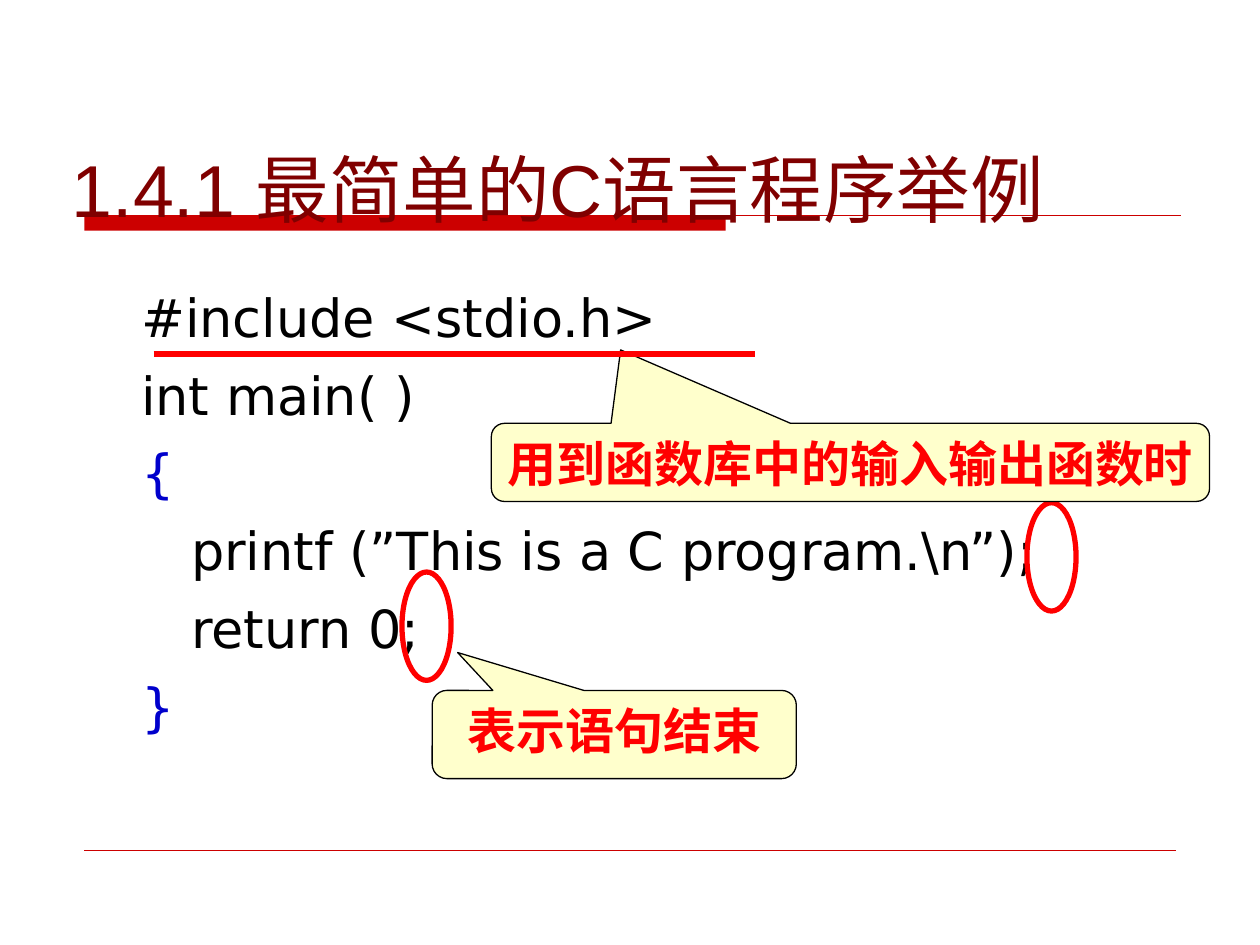
from lxml import etree
from pptx import Presentation
from pptx.dml.color import RGBColor
from pptx.enum.shapes import MSO_CONNECTOR, MSO_SHAPE
from pptx.enum.text import MSO_ANCHOR, MSO_AUTO_SIZE, PP_ALIGN
from pptx.oxml.ns import qn
from pptx.util import Inches, Pt

BAR = MSO_SHAPE.RECTANGLE
RING = MSO_SHAPE.FLOWCHART_CONNECTOR
CALL = MSO_SHAPE.ROUNDED_RECTANGULAR_CALLOUT
LINE = MSO_CONNECTOR.STRAIGHT
TOP, BOTTOM = MSO_ANCHOR.TOP, MSO_ANCHOR.BOTTOM
LEFT, CENTER = PP_ALIGN.LEFT, PP_ALIGN.CENTER
FIXED = MSO_AUTO_SIZE.NONE

COLS, ROWS = 100, 75
WIDE, HIGH = Inches(10), Inches(7.5)
RED, DARK, BLUE = "FF0000", "CC0000", "0000CC"
CODE = [
    ("#include <stdio.h>", "000000"),
    ("int main( )", "000000"),
    ("{", BLUE),
    ("   printf (”This is a C program.\\n”);", "000000"),
    ("   return 0;", "000000"),
    ("}", BLUE),
]


def color(code):
    return RGBColor.from_string(code)


def grid(box):
    sides = (WIDE / COLS, HIGH / ROWS) * 2
    return [round(part * side) for part, side in zip(box, sides)]


def put(shape, box):
    shape.left, shape.top, shape.width, shape.height = grid(box)


def write(para, text, font, size, code, bold=False):
    run = para.add_run()
    run.text = text
    run.font.name = font
    run.font.size = Pt(size)
    run.font.bold = bold
    run.font.color.rgb = color(code)


def stroke(slide, left, top, width, code, weight):
    x, y, w, _ = grid((left, top, width, 0))
    line = slide.shapes.add_connector(LINE, x, y, x + w, y)
    line.line.color.rgb = color(code)
    line.line.width = Pt(weight)
    etree.SubElement(line.element.spPr, qn("a:effectLst"))
    return line


def draw(slide, kind, box, fill, edge, weight):
    shape = slide.shapes.add_shape(kind, *grid(box))
    shape.shadow.inherit = False
    if fill:
        shape.fill.solid()
        shape.fill.fore_color.rgb = color(fill)
    else:
        shape.fill.background()
    if edge:
        shape.line.color.rgb = color(edge)
        shape.line.width = Pt(weight)
    else:
        shape.line.fill.background()
    return shape


def frame(slide, box):
    left, top, width, height = box
    bar = draw(slide, BAR, (left, top, width * 0.585, 1.2), DARK, None, 0)
    rule = stroke(slide, left, top, width, DARK, 0.75)
    foot = stroke(slide, left, top + height, width - 0.4, DARK, 0.25)
    for part in (bar, rule, foot):
        slide.shapes.title.element.addprevious(part.element)


def head(slide, box, text):
    title = slide.shapes.title
    put(title, box)
    text_box = title.text_frame
    text_box.auto_size = FIXED
    text_box.vertical_anchor = BOTTOM
    para = text_box.paragraphs[0]
    para.alignment = LEFT
    write(para, text, "Arial", 42, "800000")


def listing(slide, box, lines):
    body = slide.placeholders[1]
    put(body, box)
    text_box = body.text_frame
    text_box.auto_size = FIXED
    for row, (text, code) in enumerate(lines):
        para = text_box.add_paragraph() if row else text_box.paragraphs[0]
        props = para._p.get_or_add_pPr()
        props.set("marL", str(Inches(0.51)))
        props.set("indent", str(-Inches(0.51)))
        etree.SubElement(props, qn("a:buNone"))
        para.space_before = Pt(8.5 if row else 0)
        write(para, text, "DejaVu Sans", 30, code)


def callout(slide, box, tip, text):
    note = draw(slide, CALL, box, "FFFFCC", "000000", 0.75)
    for spot, value in enumerate((*tip, 0.167)):
        note.adjustments[spot] = value
    text_box = note.text_frame
    text_box.word_wrap = False
    text_box.vertical_anchor = TOP
    para = text_box.paragraphs[0]
    para.alignment = CENTER
    write(para, text, "Arial", 28, RED, True)


def main():
    deck = Presentation()
    deck.slide_width, deck.slide_height = WIDE, HIGH
    slide = deck.slides.add_slide(deck.slide_layouts[1])
    frame(slide, (6.7, 17.1, 87, 50.4))
    head(slide, (4.7, 10.9, 92.2, 8), "1.4.1 最简单的C语言程序举例")
    listing(slide, (10.2, 22.1, 89.8, 44.5), CODE)
    callout(slide, (34.3, 54.8, 28.9, 7), (-0.43, -0.93), "表示语句结束")
    for left, top in ((81.5, 39.9), (31.9, 45.4)):
        draw(slide, RING, (left, top, 3.9, 8.6), None, RED, 3)
    callout(slide, (39, 33.6, 57, 6.2), (-0.32, -1.44),
            "用到函数库中的输入输出函数时")
    stroke(slide, 12.2, 28.1, 47.7, RED, 3)
    deck.save("out.pptx")


if __name__ == "__main__":
    main()
